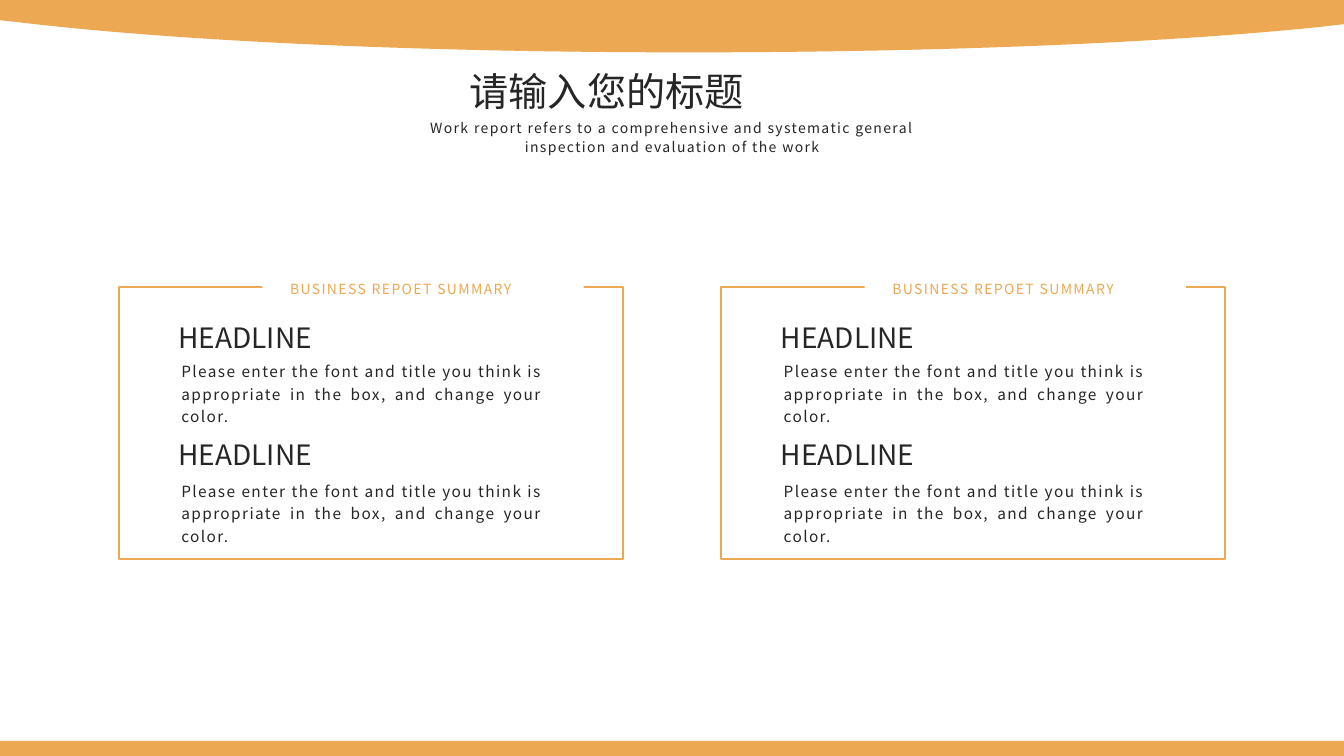
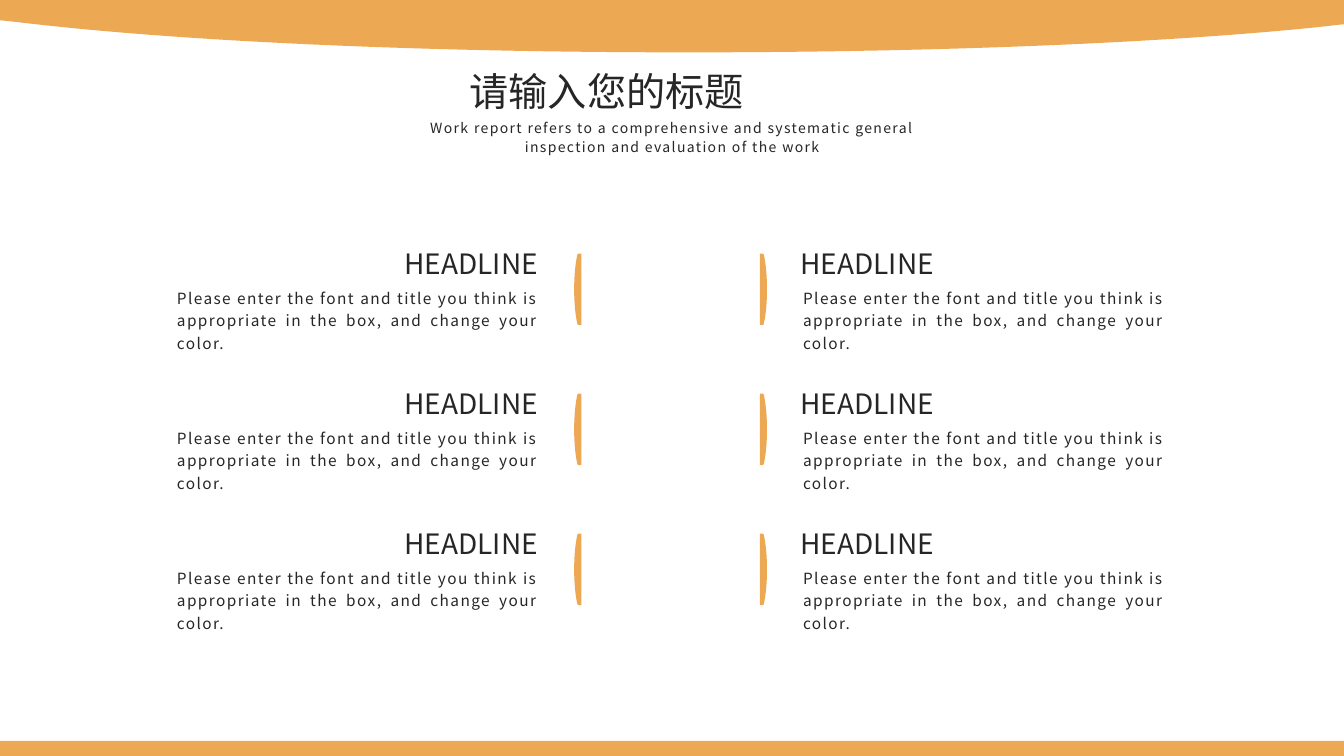
import pptx
import pptx.dml.color
import pptx.enum.shapes
import pptx.enum.text
import pptx.oxml.ns
import pptx.util
from lxml import etree

Cm = pptx.util.Cm
Align = pptx.enum.text.PP_ALIGN
qualified = pptx.oxml.ns.qn

FONT = "Noto Sans CJK SC"
ORANGE, DARK, WHITE = "EDA853", "262626", "FFFFFF"
WIDTH, HEIGHT = 33.87, 19.05

TITLE = "请输入您的标题"
SUBTITLE = ("Work report refers to a comprehensive and systematic general "
            "inspection and evaluation of the work")
BODY = ("Please enter the font and title you think is appropriate in the box, "
        "and change your color.")

# Outlines in cm: two numbers are a corner, six are a cubic curve
TOP_BAND = [(17.35, 1.32),
            (23.57, 1.32, 29.21, 1.09, 33.17, 0.69),
            (WIDTH, 0.61), (WIDTH, 0), (0, 0), (0, 0.51), (0.46, 0.56),
            (4.47, 1.04, 10.54, 1.32, 17.35, 1.32)]
SIDE_CAP = [(0.18, 0.9),
            (0.18, 0.56, 0.15, 0.25, 0.1, 0.03),
            (0.08, 0), (0, 0), (0, 1.8), (0.08, 1.8), (0.1, 1.77),
            (0.15, 1.55, 0.18, 1.24, 0.18, 0.9)]


def color(value):
    return pptx.dml.color.RGBColor.from_string(value)


def write(shape, text, size=11, fill=DARK, align=Align.JUSTIFY,
          line_points=None, letter_spacing=0):
    """Fill a shape with one formatted paragraph."""
    frame = shape.text_frame
    frame.word_wrap = True
    frame.auto_size = pptx.enum.text.MSO_AUTO_SIZE.NONE
    frame.vertical_anchor = pptx.enum.text.MSO_ANCHOR.TOP
    paragraph = frame.paragraphs[0]
    paragraph.alignment = align
    if line_points:
        paragraph.line_spacing = pptx.util.Pt(line_points)
    run = paragraph.add_run()
    run.text = text
    run.font.size = pptx.util.Pt(size)
    run.font.color.rgb = color(fill)
    run.font.name = FONT
    properties = run.font._element
    east_asian = etree.Element(qualified("a:ea"), typeface=FONT)
    properties.find(qualified("a:latin")).addnext(east_asian)
    if letter_spacing:
        properties.set("spc", str(letter_spacing * 100))


class Deck:
    def __init__(self):
        self.presentation = pptx.Presentation()
        self.presentation.slide_width = Cm(WIDTH)
        self.presentation.slide_height = Cm(HEIGHT)
        self.slide = None

    def add_slide(self):
        """Start a slide with the bands, title and subtitle."""
        layout = self.presentation.slide_layouts[5]
        self.slide = self.presentation.slides.add_slide(layout)
        self.outline(TOP_BAND)
        self.rectangle(0, 18.67, WIDTH, 0.38, fill=ORANGE)
        title = self.slide.shapes.title
        title.left, title.top = Cm(11.58), Cm(1.57)
        title.width, title.height = Cm(10.69), Cm(1.45)
        write(title, TITLE, size=28)
        self.text(9.51, 2.81, 14.86, 1.19, SUBTITLE, size=10, align=Align.CENTER,
                  line_points=14, letter_spacing=1)

    def text(self, left, top, width, height, text, **style):
        box = self.slide.shapes.add_textbox(Cm(left), Cm(top), Cm(width), Cm(height))
        write(box, text, **style)

    def rectangle(self, left, top, width, height, fill=None, line=None):
        shape = self.slide.shapes.add_shape(
            pptx.enum.shapes.MSO_SHAPE.RECTANGLE,
            Cm(left), Cm(top), Cm(width), Cm(height))
        self.paint(shape, fill, line)

    def outline(self, outline, left=0, top=0, direction=1):
        """Draw a filled outline; direction -1 mirrors it to the left."""
        parts = [[(Cm(left + direction * x), Cm(top + y))
                  for x, y in zip(part[::2], part[1::2])] for part in outline]
        ends = [part[-1] for part in parts]
        builder = self.slide.shapes.build_freeform(*ends[0])
        builder.add_line_segments(ends[1:], close=True)
        shape = builder.convert_to_shape()
        # Straight segments that stand for curves become curves
        segments = list(next(shape._element.iter(qualified("a:path"))))
        for part, segment in zip(parts, segments):
            if len(part) == 3:
                segment.tag = qualified("a:cubicBezTo")
                segment.clear()
                for x, y in part:
                    etree.SubElement(segment, qualified("a:pt"),
                                     x=str(x - shape.left), y=str(y - shape.top))
        self.paint(shape, ORANGE)

    def paint(self, shape, fill=None, line=None):
        shape.shadow.inherit = False
        if fill:
            shape.fill.solid()
            shape.fill.fore_color.rgb = color(fill)
        else:
            shape.fill.background()
        if line:
            shape.line.color.rgb = color(line)
            shape.line.width = pptx.util.Pt(1.5)
        else:
            shape.line.fill.background()

    def entry(self, left, top, gap=0.97, align=Align.JUSTIFY):
        """Headline with its text, both within a column starting at left."""
        heading_width, body_width = 5.61, 9.6
        if align == Align.RIGHT:
            heading_left = left + body_width - heading_width
        else:
            heading_left = left - 0.07
        self.text(left, top + gap, body_width, 1.32, BODY,
                  line_points=16, letter_spacing=1)
        self.text(heading_left, top, heading_width, 1.12, "HEADLINE",
                  size=20, align=align)

    def card(self, left, top):
        """Framed card whose top edge is interrupted by a label."""
        self.rectangle(left, top, 12.7, 6.85, line=ORANGE)
        self.rectangle(left + 3.61, top - 0.25, 8.1, 6.85, fill=WHITE)
        for offset, gap in ((0.71, 0.97), (3.66, 1.03)):
            self.entry(left + 1.32, top + offset, gap)
        self.text(left + 4.06, top - 0.36, 7.65, 0.71, "BUSINESS REPOET SUMMARY",
                  size=10, fill=ORANGE, line_points=14, letter_spacing=1)


def main():
    deck = Deck()

    # Two framed cards
    deck.add_slide()
    for column in range(2):
        deck.card(3 + 15.18 * column, 7.23)

    # Three rows of entries on both sides
    deck.add_slide()
    for row in range(3):
        top = 6.09 + 3.53 * row
        deck.outline(SIDE_CAP, 19.15, top + 0.3)
        deck.entry(19.99, top)
        deck.outline(SIDE_CAP, 14.65, top + 0.3, direction=-1)
        deck.entry(4.21, top, align=Align.RIGHT)

    deck.presentation.save("out.pptx")


if __name__ == "__main__":
    main()
